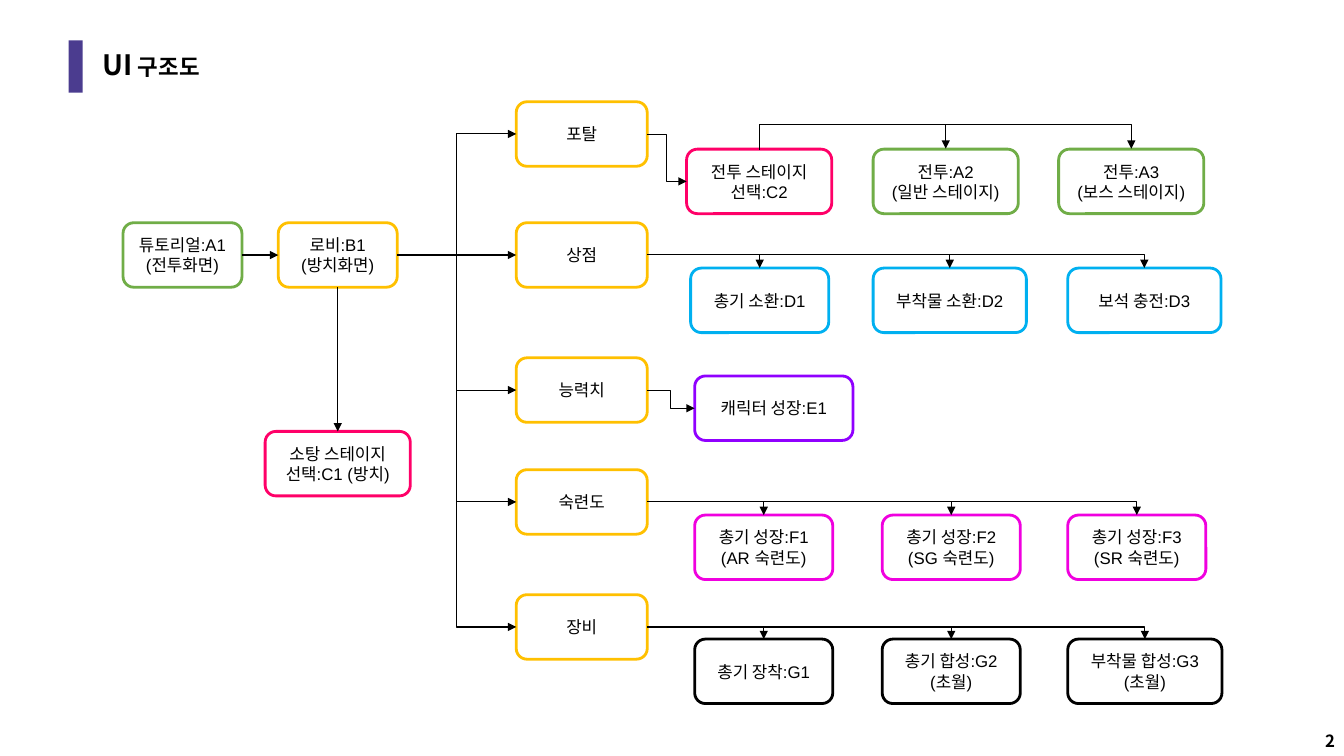
from lxml.etree import SubElement
from pptx import Presentation
from pptx.dml.color import RGBColor
from pptx.enum.shapes import MSO_CONNECTOR, MSO_SHAPE
from pptx.enum.text import MSO_ANCHOR, PP_ALIGN
from pptx.oxml.ns import qn
from pptx.util import Inches, Pt

COLORS = {
    "black": "000000", "white": "FFFFFF", "accent": "4B3C8F",
    "battle": "70AD47", "menu": "FFC000", "select": "FF0068",
    "shop": "00B0F0", "growth": "9000FF", "mastery": "F000DF",
}
KOREAN_FONT = "Noto Sans CJK KR"
BOX_HEIGHT = 0.64
TOP, LEFT, BOTTOM, RIGHT = range(4)

# name: (left, top, width, colour, text)
SCREENS = {
    "A1": (1.22, 2.21, 1.18, "battle", "튜토리얼:A1\n(전투화면)"),
    "B1": (2.76, 2.21, 1.18, "menu", "로비:B1\n(방치화면)"),
    "C1": (2.63, 4.28, 1.44, "select", "소탕 스테이지 선택:C1 (방치)"),
    "C2": (6.81, 1.48, 1.44, "select", "전투 스테이지 선택:C2"),
    "A2": (8.66, 1.48, 1.44, "battle", "전투:A2\n(일반 스테이지)"),
    "A3": (10.5, 1.48, 1.44, "battle", "전투:A3\n(보스 스테이지)"),
    "D1": (6.85, 2.66, 1.37, "shop", "총기 소환:D1"),
    "D2": (8.66, 2.66, 1.52, "shop", "부착물 소환:D2"),
    "D3": (10.59, 2.66, 1.52, "shop", "보석 충전:D3"),
    "E1": (6.89, 3.73, 1.57, "growth", "캐릭터 성장:E1"),
    "F1": (6.89, 5.11, 1.37, "mastery", "총기 성장:F1\n(AR 숙련도)"),
    "F2": (8.75, 5.11, 1.37, "mastery", "총기 성장:F2\n(SG 숙련도)"),
    "F3": (10.59, 5.11, 1.37, "mastery", "총기 성장:F3\n(SR 숙련도)"),
    "G1": (6.89, 6.34, 1.37, "black", "총기 장착:G1"),
    "G2": (8.75, 6.34, 1.37, "black", "총기 합성:G2 (초월)"),
    "G3": (10.59, 6.34, 1.53, "black", "부착물 합성:G3 (초월)"),
}
# menu: (top, screens reached from its right side)
MENUS = {
    "포탈": (1.01, ["C2"]),
    "상점": (2.21, ["D1", "D2", "D3"]),
    "능력치": (3.55, ["E1"]),
    "숙련도": (4.66, ["F1", "F2", "F3"]),
    "장비": (5.9, ["G1", "G2", "G3"]),
}


def rgb(name):
    return RGBColor.from_string(COLORS[name])


def format_text(text_frame, alignment, font_format):
    for paragraph in text_frame.paragraphs:
        paragraph.alignment = alignment
        for run in paragraph.runs:
            run.font.color.rgb = rgb("black")
            for attribute, value in font_format.items():
                setattr(run.font, attribute, value)
            east_asian = SubElement(run.font._element, qn("a:ea"))
            east_asian.set("typeface", KOREAN_FONT)


def add_label(slide, bounds, text, alignment, anchor, size):
    text_box = slide.shapes.add_textbox(*map(Inches, bounds))
    text_frame = text_box.text_frame
    text_frame.word_wrap = True
    text_frame.vertical_anchor = anchor
    text_frame.text = text
    format_text(text_frame, alignment,
                {"name": KOREAN_FONT, "size": Pt(size), "bold": True})
    return text_frame


def add_header(slide):
    bar = slide.shapes.add_shape(
        MSO_SHAPE.RECTANGLE, *map(Inches, (0.68, 0.4, 0.14, 0.52)))
    bar.shadow.inherit = False
    bar.fill.solid()
    bar.fill.fore_color.rgb = rgb("accent")
    bar.line.fill.background()
    title = add_label(slide, (0.92, 0.4, 11.5, 0.52), "UI 구조도",
                      PP_ALIGN.LEFT, MSO_ANCHOR.MIDDLE, 20)
    title.paragraphs[0].line_spacing = 0.9
    title.paragraphs[0].runs[0].font._element.set("cap", "small")


def add_box(slide, left, top, width, color, text):
    box = slide.shapes.add_shape(
        MSO_SHAPE.ROUNDED_RECTANGLE,
        *map(Inches, (left, top, width, BOX_HEIGHT)))
    box.shadow.inherit = False
    box.fill.solid()
    box.fill.fore_color.rgb = rgb("white")
    box.line.color.rgb = rgb(color)
    box.line.width = Pt(2)
    box.text_frame.text = text
    box.text_frame.vertical_anchor = MSO_ANCHOR.MIDDLE
    format_text(box.text_frame, PP_ALIGN.CENTER,
                {"name": "Arial", "size": Pt(12)})
    return box


def add_arrow(slide, kind, start, start_side, end, end_side):
    arrow = slide.shapes.add_connector(kind, 0, 0, 0, 0)
    arrow.begin_connect(start, start_side)
    arrow.end_connect(end, end_side)
    arrow.line.color.rgb = rgb("black")
    arrow.line.width = Pt(0.75)
    SubElement(arrow.line._get_or_add_ln(), qn("a:tailEnd")).set("type", "triangle")
    SubElement(arrow._element.spPr, qn("a:effectLst"))
    return arrow


def add_drop_arrow(slide, start, end):
    """Run right from start, then turn once down onto the top of end."""
    arrow = add_arrow(slide, MSO_CONNECTOR.ELBOW, start, RIGHT, end, TOP)
    arrow._element.spPr.find(qn("a:prstGeom")).set("prst", "bentConnector2")


def add_bridge_arrow(slide, start, end):
    """Rise from the top of start, cross over, and come down onto the top of end."""
    arrow = add_arrow(slide, MSO_CONNECTOR.ELBOW, start, TOP, end, TOP)
    start_x = start.left + start.width // 2
    span = end.left + end.width // 2 - start_x
    thickness, rise = Inches(0.01), Inches(0.25)
    arrow.left = start_x + (span - thickness) // 2
    arrow.top = start.top - span // 2
    arrow.width, arrow.height = thickness, span
    properties = arrow._element.spPr
    for name, value in {"rot": "5400000", "flipH": "1", "flipV": "1"}.items():
        properties.find(qn("a:xfrm")).set(name, value)
    adjustments = properties.find(qn("a:prstGeom")).get_or_add_avLst()
    guide = SubElement(adjustments, qn("a:gd"))
    guide.set("name", "adj1")
    guide.set("fmla", f"val {rise * 100000 // thickness}")


def main():
    presentation = Presentation()
    presentation.slide_width = Inches(13.33)
    presentation.slide_height = Inches(7.5)
    slide = presentation.slides.add_slide(presentation.slide_layouts[6])

    add_header(slide)
    add_label(slide, (12.42, 7.1, 0.92, 0.4), "2",
              PP_ALIGN.RIGHT, MSO_ANCHOR.BOTTOM, 12)

    screens = {name: add_box(slide, *values) for name, values in SCREENS.items()}
    lobby = screens["B1"]
    straight, elbow = MSO_CONNECTOR.STRAIGHT, MSO_CONNECTOR.ELBOW
    add_arrow(slide, straight, screens["A1"], RIGHT, lobby, LEFT)
    add_arrow(slide, straight, lobby, BOTTOM, screens["C1"], TOP)

    for name, (top, targets) in MENUS.items():
        menu = add_box(slide, 5.12, top, 1.3, "menu", name)
        kind = straight if menu.top == lobby.top else elbow
        add_arrow(slide, kind, lobby, RIGHT, menu, LEFT)
        if len(targets) == 1:
            add_arrow(slide, elbow, menu, RIGHT, screens[targets[0]], LEFT)
        else:
            for target in targets:
                add_drop_arrow(slide, menu, screens[target])

    for target in ("A2", "A3"):
        add_bridge_arrow(slide, screens["C2"], screens[target])

    presentation.save("out.pptx")


if __name__ == "__main__":
    main()
